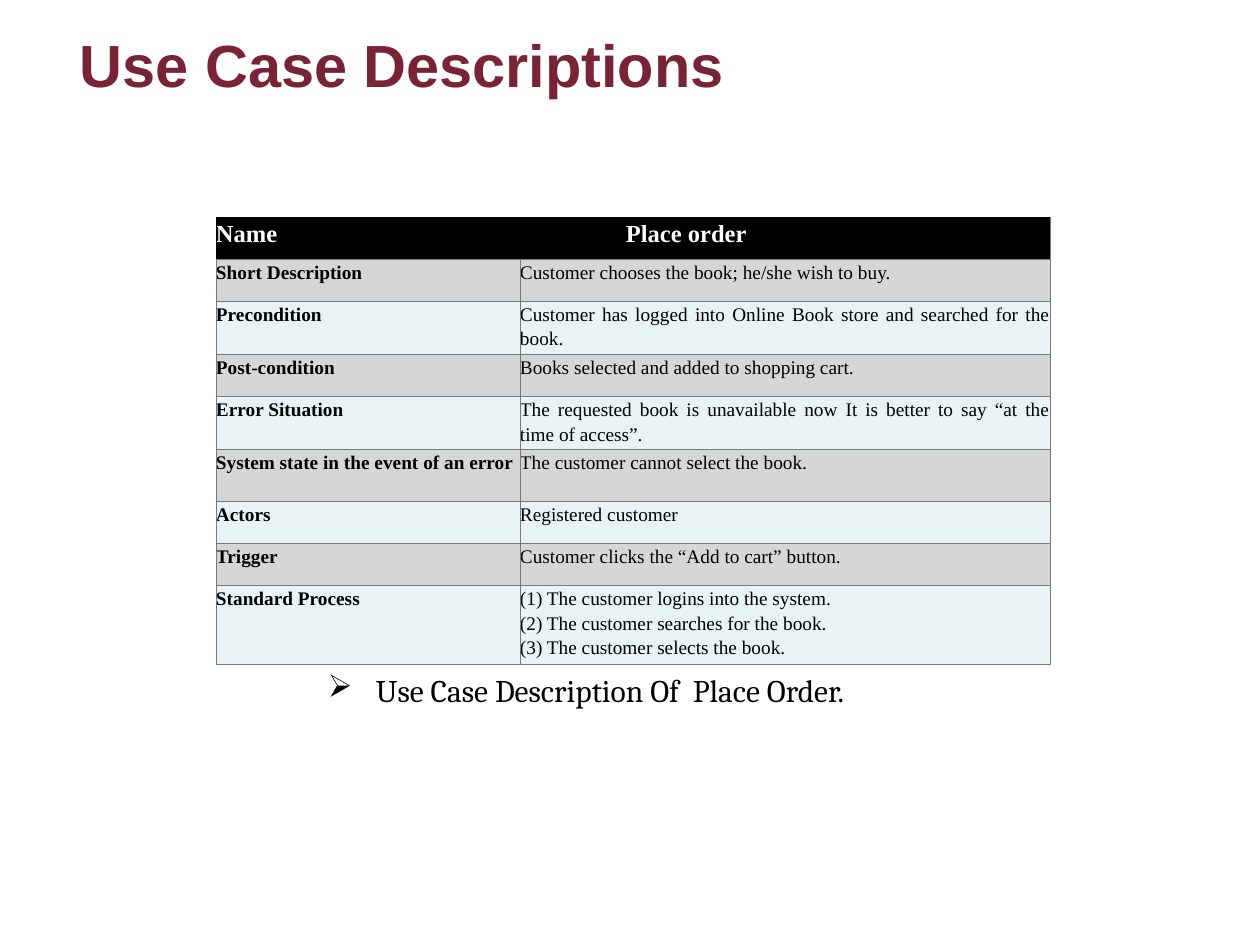
from lxml.etree import SubElement
from pptx import Presentation
from pptx.dml.color import RGBColor
from pptx.enum.text import MSO_ANCHOR, PP_ALIGN
from pptx.oxml.ns import qn
from pptx.util import Pt

PX = 914400 // 126
MAROON = RGBColor(0x78, 0x23, 0x36)
BLACK = RGBColor(0x00, 0x00, 0x00)
WHITE = RGBColor(0xFF, 0xFF, 0xFF)
GREY = RGBColor(0xD6, 0xD6, 0xD6)
PALE = RGBColor(0xE7, 0xF3, 0xF4)
BORDER = RGBColor(0x79, 0x79, 0x79)

TABLE_FONT = "Times New Roman"
COLUMNS = [304, 530]
HEIGHTS = [42, 42, 52, 42, 52, 52, 42, 42, 79]
HEADER_TAB = 410
USE_CASE = [
    ("Short Description", "Customer chooses the book; he/she wish to buy."),
    ("Precondition", "Customer has logged into Online Book store and searched for the book."),
    ("Post-condition", "Books selected and added to shopping cart."),
    ("Error Situation", "The requested book is unavailable now It is better to say “at the time of access”."),
    ("System state in the event of an error", "The customer cannot select the book."),
    ("Actors", "Registered customer"),
    ("Trigger", "Customer clicks the “Add to cart” button."),
    ("Standard Process", "(1) The customer logins into the system.\n"
                         "(2) The customer searches for the book.\n"
                         "(3) The customer selects the book."),
]


def px(n):
    return int(n * PX)


def format_runs(p, font, size, color, bold=False):
    for r in p.runs:
        r.font.name = font
        r.font.size = Pt(size)
        r.font.bold = bold
        r.font.color.rgb = color


def add_text(s, box, text, font, size, color, bold=False, top=6):
    tf = s.shapes.add_textbox(*map(px, box)).text_frame
    tf.word_wrap = True
    tf.vertical_anchor = MSO_ANCHOR.TOP
    tf.margin_left = tf.margin_right = tf.margin_bottom = px(6)
    tf.margin_top = px(top)
    tf.text = text
    p = tf.paragraphs[0]
    format_runs(p, font, size, color, bold)
    return p


def add_bullet(p, char, indent):
    pPr = p._p.get_or_add_pPr()
    pPr.set("marL", str(px(indent)))
    pPr.set("indent", str(-px(indent)))
    SubElement(pPr, qn("a:buChar"), char=char)


def add_tab(p, pos):
    tabs = SubElement(p._p.get_or_add_pPr(), qn("a:tabLst"))
    SubElement(tabs, qn("a:tab"), pos=str(px(pos)), algn="l")


def set_borders(cell, colors):
    tcPr = cell._tc.get_or_add_tcPr()
    for i, (side, color) in enumerate(zip("LRTB", colors)):
        ln = tcPr.makeelement(qn(f"a:ln{side}"), {"w": str(Pt(0.5))})
        fill = SubElement(ln, qn("a:solidFill"))
        SubElement(fill, qn("a:srgbClr"), val=str(color))
        tcPr.insert(i, ln)


def fill_cell(cell, text, fill, size, color, bold, align, borders=(BORDER,) * 4):
    cell.margin_left = cell.margin_right = cell.margin_top = cell.margin_bottom = 0
    cell.fill.solid()
    cell.fill.fore_color.rgb = fill
    set_borders(cell, borders)
    cell.text_frame.text = text
    for p in cell.text_frame.paragraphs:
        p.alignment = align
        p.line_spacing = 1.15
        format_runs(p, TABLE_FONT, size, color, bold)


def add_use_case_table(s, left, top):
    frame = s.shapes.add_table(len(HEIGHTS), len(COLUMNS), px(left), px(top),
                               px(sum(COLUMNS)), px(sum(HEIGHTS)))
    table = frame.table
    for col, width in zip(table.columns, COLUMNS):
        col.width = px(width)
    for row, height in zip(table.rows, HEIGHTS):
        row.height = px(height)

    header = table.cell(0, 0)
    header.merge(table.cell(0, 1))
    fill_cell(header, "Name\tPlace order", BLACK, 14, WHITE, True, PP_ALIGN.LEFT,
              (BLACK, BORDER, BLACK, BORDER))
    add_tab(header.text_frame.paragraphs[0], HEADER_TAB)

    for i, row in enumerate(USE_CASE, 1):
        fill = GREY if i % 2 else PALE
        for j, text in enumerate(row):
            fill_cell(table.cell(i, j), text, fill, 11, BLACK, j == 0, PP_ALIGN.JUSTIFY)


def main():
    prs = Presentation()
    prs.slide_width, prs.slide_height = px(1260), px(945)
    s = prs.slides.add_slide(prs.slide_layouts[6])
    add_text(s, (74, 16, 1071, 80), "Use Case Descriptions", "Arial", 34, MAROON,
             bold=True, top=12)
    caption = add_text(s, (322, 665, 1071, 60), "Use Case Description Of  Place Order.",
                       "Cambria", 18, BLACK)
    caption.alignment = PP_ALIGN.JUSTIFY
    add_bullet(caption, "➢", 48)
    add_use_case_table(s, 216, 217)
    prs.save("out.pptx")


if __name__ == "__main__":
    main()
